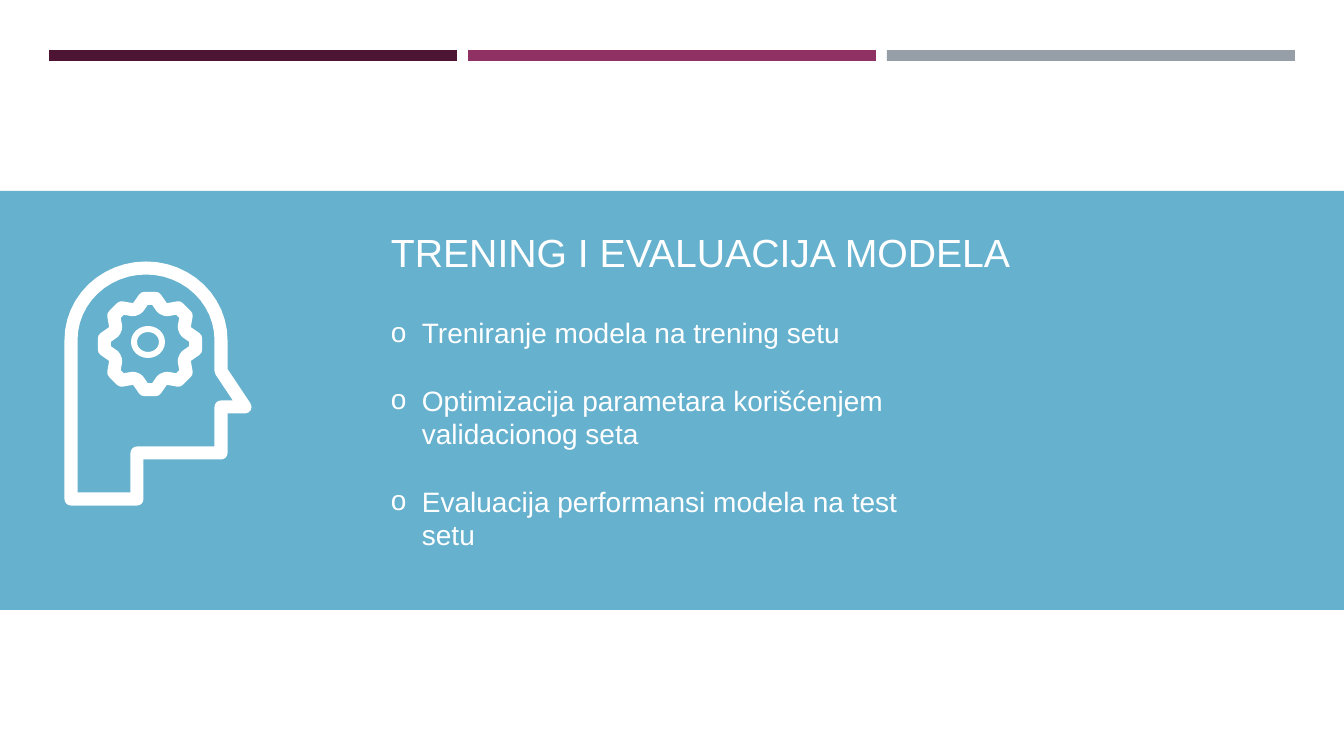
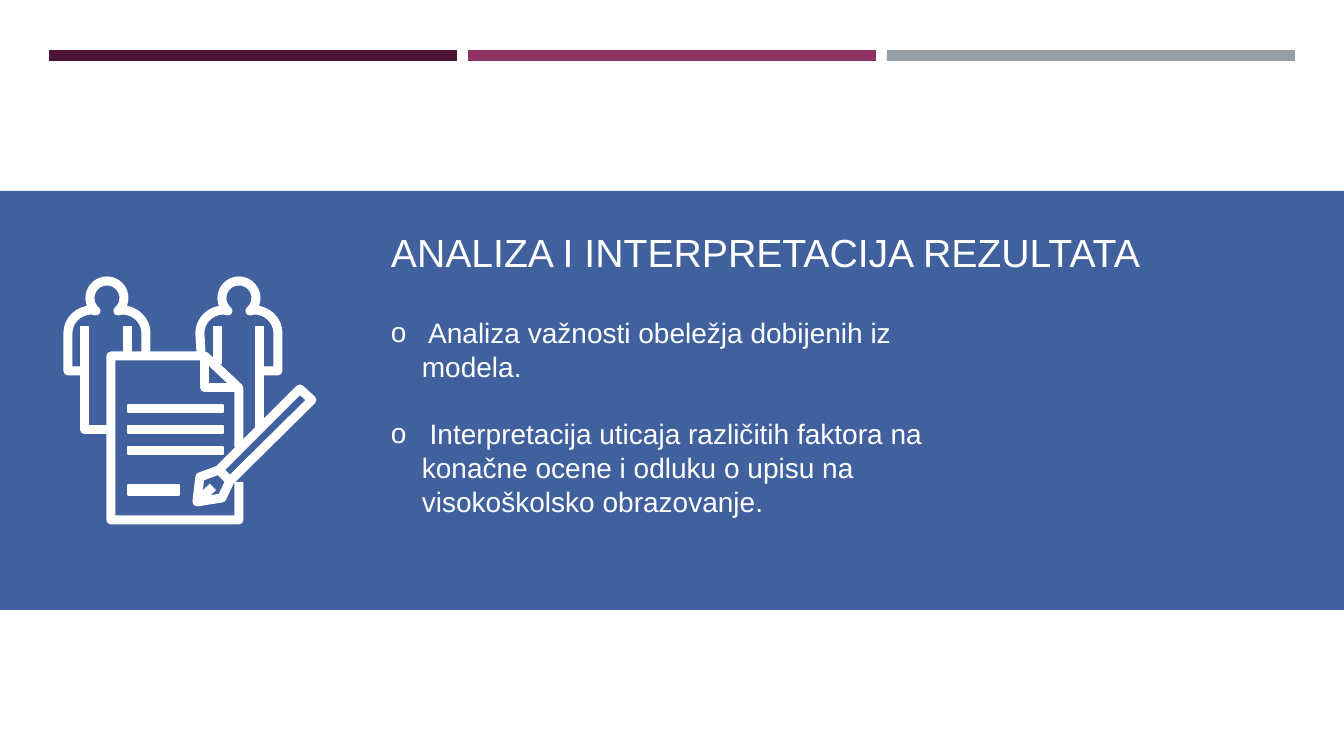
"""Builds two slides about training a model and reading its results."""
import math
import pptx
import pptx.dml.color
import pptx.enum.shapes
import pptx.enum.text
import pptx.oxml
import pptx.oxml.ns
import pptx.util

KIND = pptx.enum.shapes.MSO_SHAPE
ANCHOR = pptx.enum.text.MSO_ANCHOR
SCALE = 914400 / 100.8
THEME = {
    "font": "Arial", "ink": "FFFFFF",
    "bars": ["4D1434", "903163", "969FA7"],
    "blue": "66B1CE", "navy": "40619D",
    "title": 28, "body": 20, "line": 24,
}
WIDE, HIGH = 1344, 756
BAR = {"left": 49, "top": 50, "wide": 408, "high": 11, "step": 419}
BAND = (0, 191, WIDE, 419)
TITLE = (381, 115, 915, 165)
BODY = (381, 311, 556)
INDENT = 31


def arc(mid, size, start, end, count=24):
    """Returns points on an ellipse between two angles in degrees."""
    turns = [math.radians(start + (end - start) * i / count) for i in range(count + 1)]
    return [(mid[0] + size[0] * math.cos(t), mid[1] + size[1] * math.sin(t)) for t in turns]


def gear(mid, teeth=8):
    """Returns the outline of a gear wheel."""
    tooth = [(46, -7), (46, 7), (38, 19), (38, 26)]
    spots = [(far, math.radians(360 / teeth * i + turn)) for i in range(teeth) for far, turn in tooth]
    return [(mid[0] + far * math.cos(t), mid[1] + far * math.sin(t)) for far, t in spots]


def person(mid, left, right):
    """Returns the outline of head, shoulders and arms, with given arm ends."""
    return (left + arc((mid - 15, 333), (24, 23), 180, 270, 8)
            + arc((mid, 298), (17, 17), 130, 410)
            + arc((mid + 15, 333), (24, 23), 270, 360, 8) + right)


def loop(points):
    """Returns the points with the first one repeated at the end."""
    return points + points[:2]


HEAD = {
    "width": 13,
    "paths": [
        [loop([(71, 499)] + arc((146, 340), (75, 72), 180, 360)
              + [(221, 371), (245, 407), (221, 407), (221, 453), (137, 453), (137, 499)])],
        [loop(gear((150, 344)))],
    ],
    "ring": (134, 329, 28, 26, 6),
    "bars": [],
}
REPORT = {
    "width": 9,
    "paths": [[
        loop([(200, 477), (219, 470), (300, 389), (312, 400), (230, 481), (222, 498), (197, 502)]),
        person(107, [(85, 371), (68, 371)], [(146, 352)]),
        person(239, [(201, 352)], [(278, 371), (260, 371)]),
        [(85, 326), (85, 430), (107, 430)],
        [(128, 326), (128, 352)],
        [(218, 326), (218, 364)],
        [(260, 326), (260, 427)],
        [(239, 482), (239, 520), (111, 520), (111, 356), (205, 356), (239, 388), (239, 447)],
        [(205, 356), (205, 388), (239, 388)],
        [(219, 470), (230, 481)],
        [(197, 502), (213, 487)],
    ]],
    "ring": None,
    "bars": [(128, 405 + 21 * i, 95, 7) for i in range(3)] + [(128, 485, 51, 10)],
}
SLIDES = [
    {
        "title": "TRENING I EVALUACIJA MODELA", "fill": "blue", "icon": HEAD, "high": 214,
        "items": [
            "Treniranje modela na trening setu",
            "Optimizacija parametara korišćenjem validacionog seta",
            "Evaluacija performansi modela na test setu",
        ],
    },
    {
        "title": "ANALIZA I INTERPRETACIJA REZULTATA", "fill": "navy", "icon": REPORT, "high": 323,
        "items": [
            " Analiza važnosti obeležja dobijenih iz modela.",
            " Interpretacija uticaja različitih faktora na konačne ocene i odluku o upisu na "
            "visokoškolsko obrazovanje.",
        ],
    },
]


def px(*nums):
    """Turns pixels into a list of EMU."""
    return [pptx.util.Emu(round(n * SCALE)) for n in nums]


def tint(code):
    """Returns a colour from its hex code."""
    return pptx.dml.color.RGBColor.from_string(code)


def tag(host, name, **attrs):
    """Adds one DrawingML element to the host."""
    node = pptx.oxml.parse_xml(f'<a:{name} {pptx.oxml.ns.nsdecls("a")}/>')
    for key, value in attrs.items():
        node.set(key, value)
    host.append(node)


def block(shapes, box, fill, kind=KIND.RECTANGLE):
    """Adds a filled shape without an outline."""
    shape = shapes.add_shape(kind, *px(*box))
    shape.shadow.inherit = False
    shape.fill.solid()
    shape.fill.fore_color.rgb = tint(fill)
    shape.line.fill.background()
    return shape


def pen(shape, width):
    """Gives a shape a round-joined outline."""
    shape.line.color.rgb = tint(THEME["ink"])
    shape.line.width = px(width)[0]
    tag(shape.line._get_or_add_ln(), "round")


def stroke(shapes, lines, width):
    """Draws all lines of one outline as a single shape."""
    build = shapes.build_freeform(*px(*lines[0][0]))
    for i, line in enumerate(lines):
        spots = [px(*point) for point in line]
        if i:
            build.move_to(*spots[0])
        build.add_line_segments(spots[1:], close=False)
    shape = build.convert_to_shape()
    shape.fill.background()
    pen(shape, width)
    shape.shadow.inherit = False


def write(slide, box, lines, size, anchor=ANCHOR.TOP, bullet=None, pitch=None):
    """Adds a text box with one paragraph a line."""
    frame = slide.shapes.add_textbox(*px(*box)).text_frame
    frame.word_wrap = True
    frame.vertical_anchor = anchor
    for i, line in enumerate(lines):
        para = frame.paragraphs[0] if i == 0 else frame.add_paragraph()
        run = para.add_run()
        run.text = line
        run.font.name, run.font.size = THEME["font"], pptx.util.Pt(size)
        run.font.color.rgb = tint(THEME["ink"])
        if pitch:
            para.line_spacing = pptx.util.Pt(pitch)
            para.space_before = pptx.util.Pt(pitch if i else 0)
        if bullet:
            props = para._p.get_or_add_pPr()
            props.set("marL", str(px(INDENT)[0]))
            props.set("indent", str(-px(INDENT)[0]))
            tag(props, "buFont", typeface=THEME["font"])
            tag(props, "buChar", char=bullet)


def draw(slide, icon):
    """Draws a line icon as one group."""
    shapes = slide.shapes.add_group_shape().shapes
    for lines in icon["paths"]:
        stroke(shapes, lines, icon["width"])
    if icon["ring"]:
        *box, width = icon["ring"]
        ring = block(shapes, box, THEME["ink"], KIND.OVAL)
        ring.fill.background()
        pen(ring, width)
    for box in icon["bars"]:
        pen(block(shapes, box, THEME["ink"]), 2)


def base(deck, fill):
    """Adds a slide with the shared bars and the wide band."""
    slide = deck.slides.add_slide(deck.slide_layouts[6])
    for i, code in enumerate(THEME["bars"]):
        box = (BAR["left"] + i * BAR["step"], BAR["top"], BAR["wide"], BAR["high"])
        block(slide.shapes, box, code)
    block(slide.shapes, BAND, THEME[fill])
    return slide


def main():
    """Builds and saves the deck."""
    deck = pptx.Presentation()
    deck.slide_width, deck.slide_height = px(WIDE, HIGH)
    for page in SLIDES:
        slide = base(deck, page["fill"])
        write(slide, TITLE, [page["title"]], THEME["title"], anchor=ANCHOR.BOTTOM)
        draw(slide, page["icon"])
        write(slide, (*BODY, page["high"]), page["items"], THEME["body"],
              bullet="o", pitch=THEME["line"])
    deck.save("out.pptx")


if __name__ == "__main__":
    main()
